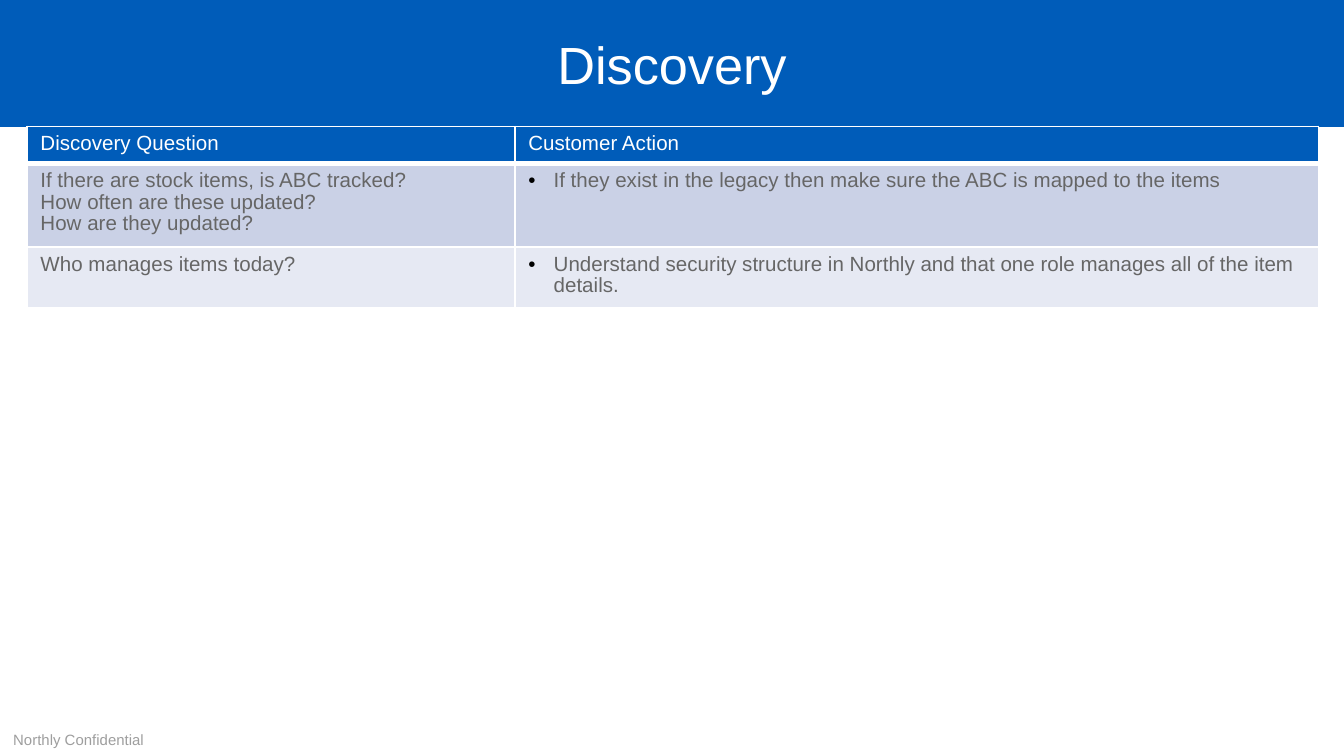
from dataclasses import dataclass

from lxml.etree import SubElement
from pptx import Presentation
from pptx.dml.color import RGBColor
from pptx.enum.text import MSO_ANCHOR, MSO_AUTO_SIZE, PP_ALIGN
from pptx.oxml.ns import qn
from pptx.util import Cm, Pt


@dataclass(frozen=True)
class Theme:
    font: str = "Arial"
    blue: str = "005CB9"
    white: str = "FFFFFF"
    body: str = "666666"
    bullet: str = "000000"
    muted: str = "9E9E9E"
    bands: tuple = ("CAD1E6", "E6E9F3")
    title_size: int = 28
    table_size: int = 11
    footer_size: int = 8
    line_spacing: float = 0.95


THEME = Theme()
COLUMN_WIDTHS = (9.22, 15.19)
ROW_HEIGHTS = (0.67, 1.55, 1.09)
HEADER = ("Discovery Question", "Customer Action")
ROWS = (
    (
        ("If there are stock items, is ABC tracked?",
         "How often are these updated?",
         "How are they updated?"),
        ("If they exist in the legacy then make sure the ABC is mapped to the items",),
    ),
    (
        ("Who manages items today?",),
        ("Understand security structure in Northly and that one role manages "
         "all of the item details.",),
    ),
)


def add_run(p, text, size, color):
    r = p.add_run()
    r.text = text
    r.font.name = THEME.font
    r.font.size = Pt(size)
    r.font.bold = False
    r.font.color.rgb = RGBColor.from_string(color)


def add_bullet(p):
    pPr = p._p.get_or_add_pPr()
    pPr.set("marL", str(Cm(0.48)))
    pPr.set("indent", str(-Cm(0.48)))
    color = SubElement(pPr, qn("a:buClr"))
    SubElement(color, qn("a:srgbClr"), val=THEME.bullet)
    SubElement(pPr, qn("a:buFont"), typeface=THEME.font)
    SubElement(pPr, qn("a:buChar"), char="•")


def set_borders(cell, bottom=1):
    tcPr = cell._tc.get_or_add_tcPr()
    for side, width in (("L", 1), ("R", 1), ("T", 1), ("B", bottom)):
        line = SubElement(tcPr, qn(f"a:ln{side}"), w=str(Pt(width)))
        fill = SubElement(line, qn("a:solidFill"))
        SubElement(fill, qn("a:srgbClr"), val=THEME.white)


def fill_cell(cell, lines, fill, color, bulleted=False, bottom=1):
    set_borders(cell, bottom)
    cell.fill.solid()
    cell.fill.fore_color.rgb = RGBColor.from_string(fill)
    tf = cell.text_frame
    for i, text in enumerate(lines):
        p = tf.add_paragraph() if i else tf.paragraphs[0]
        p.line_spacing = THEME.line_spacing
        if bulleted:
            add_bullet(p)
        add_run(p, text, THEME.table_size, color)


def add_title(s, text):
    sp = s.shapes.title
    sp.left, sp.top, sp.width, sp.height = Cm(0), Cm(0), Cm(25.4), Cm(2.4)
    sp.fill.solid()
    sp.fill.fore_color.rgb = RGBColor.from_string(THEME.blue)
    tf = sp.text_frame
    tf.auto_size = MSO_AUTO_SIZE.NONE
    tf.vertical_anchor = MSO_ANCHOR.MIDDLE
    p = tf.paragraphs[0]
    p.alignment = PP_ALIGN.CENTER
    add_run(p, text, THEME.title_size, THEME.white)


def add_footer(s, text):
    tf = s.shapes.add_textbox(Cm(0), Cm(13.51), Cm(8.59), Cm(0.76)).text_frame
    tf.word_wrap = True
    tf.vertical_anchor = MSO_ANCHOR.BOTTOM
    add_run(tf.paragraphs[0], text, THEME.footer_size, THEME.muted)


def add_discovery_table(s):
    table = s.shapes.add_table(
        len(ROW_HEIGHTS), len(COLUMN_WIDTHS), Cm(0.51), Cm(2.39),
        Cm(sum(COLUMN_WIDTHS)), Cm(sum(ROW_HEIGHTS))).table
    for column, width in zip(table.columns, COLUMN_WIDTHS):
        column.width = Cm(width)
    for row, height in zip(table.rows, ROW_HEIGHTS):
        row.height = Cm(height)
    for c, heading in enumerate(HEADER):
        fill_cell(table.cell(0, c), (heading,), THEME.blue, THEME.white, bottom=3)
    for r, (row, band) in enumerate(zip(ROWS, THEME.bands), start=1):
        for c, lines in enumerate(row):
            fill_cell(table.cell(r, c), lines, band, THEME.body, bulleted=c == 1)


def main():
    prs = Presentation()
    prs.slide_width, prs.slide_height = Cm(25.4), Cm(14.29)
    s = prs.slides.add_slide(prs.slide_layouts.get_by_name("Title Only"))
    add_title(s, "Discovery")
    add_footer(s, "Northly Confidential")
    add_discovery_table(s)
    prs.save("out.pptx")


if __name__ == "__main__":
    main()
